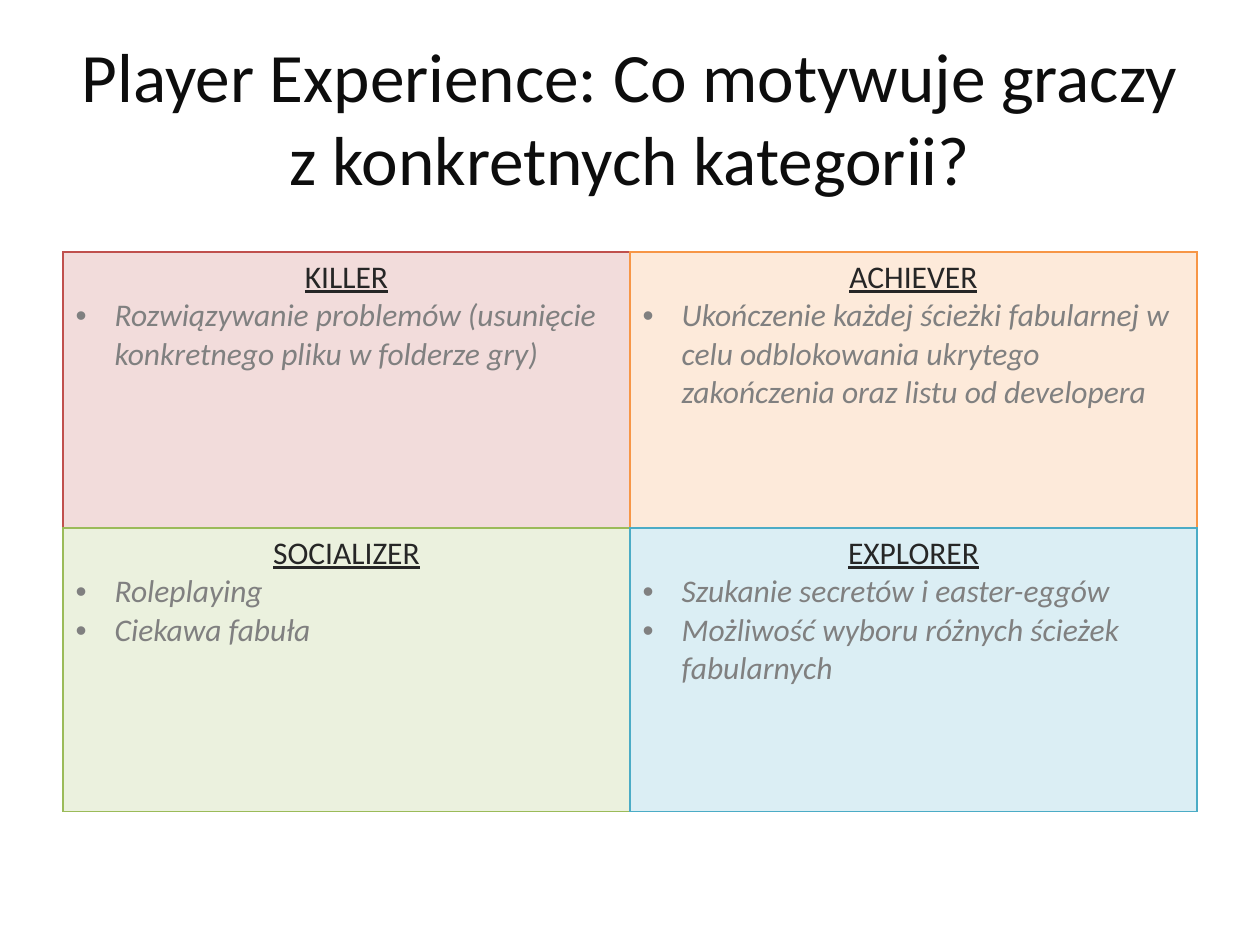
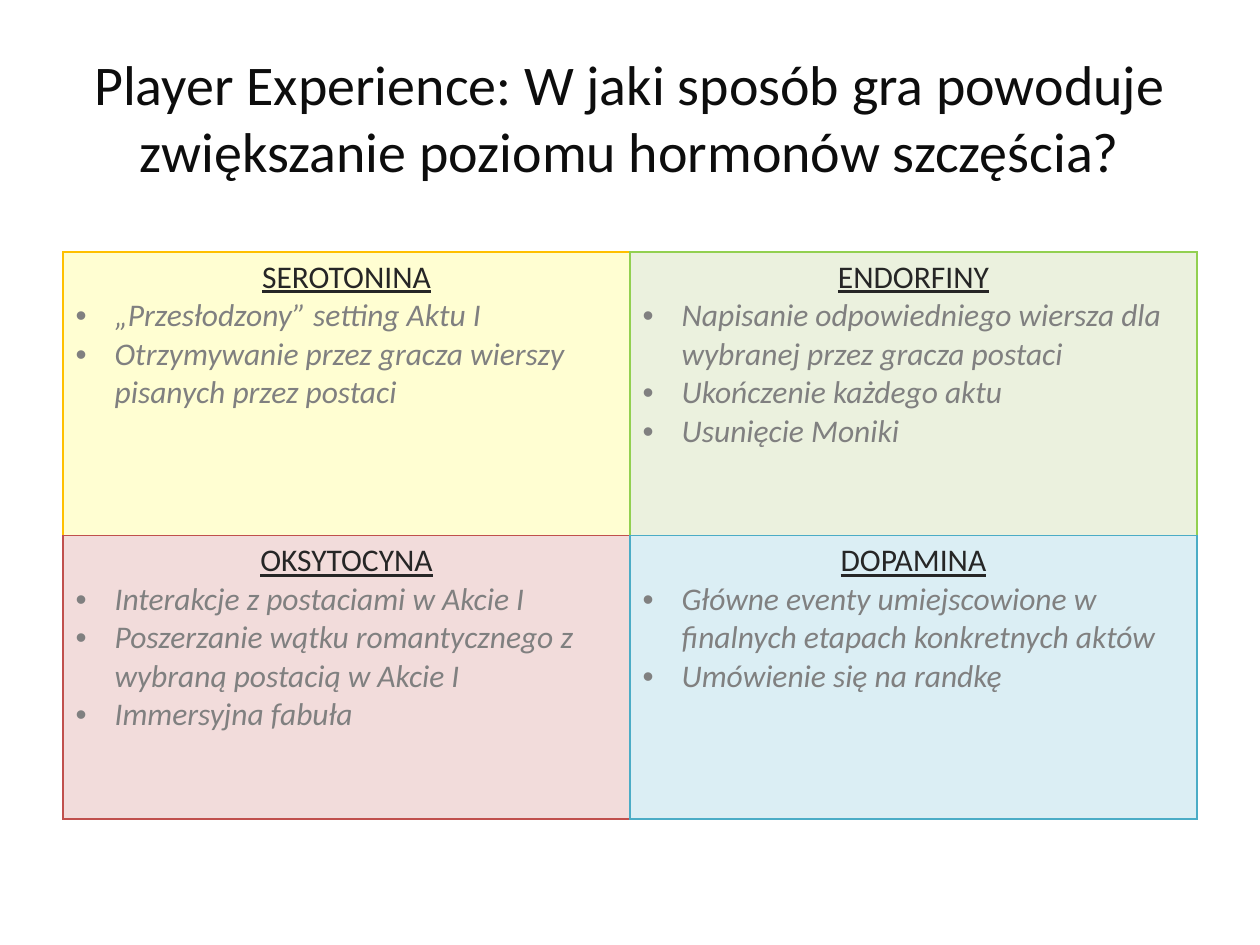
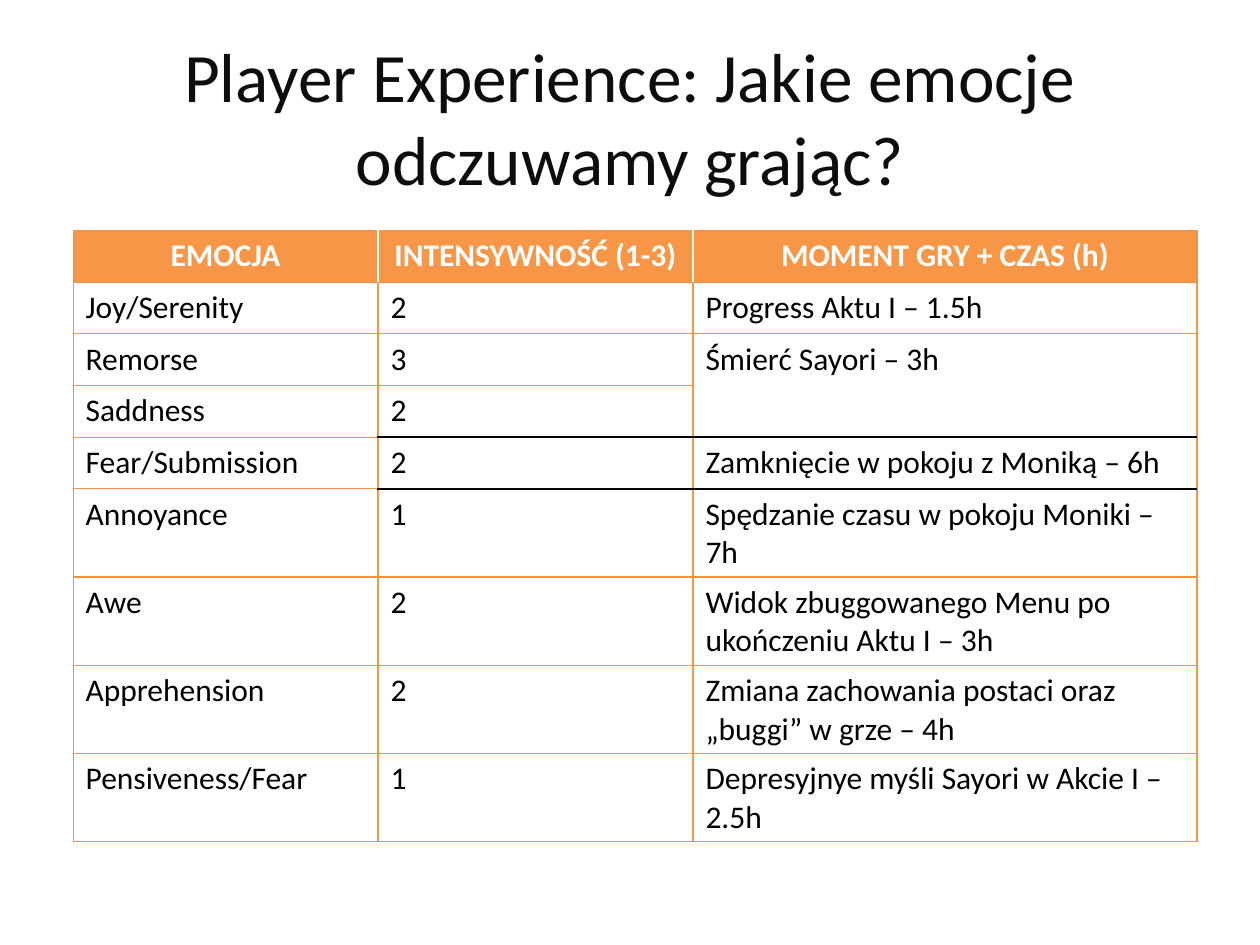
from dataclasses import dataclass

from lxml import etree
from pptx import Presentation
from pptx.dml.color import RGBColor
from pptx.enum.text import MSO_ANCHOR, PP_ALIGN
from pptx.oxml.ns import qn
from pptx.util import Emu, Inches, Pt

CENTER, LEFT = PP_ALIGN.CENTER, PP_ALIGN.LEFT
MIDDLE = MSO_ANCHOR.MIDDLE

# The slide is divided into a grid of 20 columns by 15 rows.
WIDTH, HEIGHT = Inches(10), Inches(7.5)
COLUMNS, ROWS = 20, 15

FONT = "Calibri"
BODY_SIZE = 18
INDENT = Inches(0.31)
BLACK, WHITE = "000000", "FFFFFF"
TITLE_INK, HEADING_INK, BULLET_INK = "0D0D0D", "262626", "808080"
RED, ORANGE, GREEN, BLUE = "C0504D", "F79646", "9BBB59", "4BACC6"
AMBER, LIME, RULE = "FFC000", "92D050", "F69240"
PALE_RED, PALE_ORANGE, PALE_GREEN = "F2DCDB", "FDEADA", "EBF1DE"
PALE_BLUE, PALE_YELLOW = "DBEEF4", "FFFED2"


@dataclass
class Quadrant:
    """One cell of a two-by-two matrix."""
    heading: str
    bullets: list[str]
    fill: str
    edge: str


@dataclass
class Matrix:
    """A slide with four quadrants, in reading order."""
    title: str
    title_size: float
    row_spans: list[float]
    quadrants: list[Quadrant]


@dataclass
class Emotion:
    """A row of the emotion table; no moment means the one above holds."""
    name: str
    intensity: int
    moment: str = ""


MATRICES = [
    Matrix("Player Experience: Co motywuje graczy z konkretnych kategorii?",
           39.6, [4.38, 4.5], [
        Quadrant("KILLER", [
            "Rozwiązywanie problemów (usunięcie konkretnego pliku w folderze gry)",
        ], PALE_RED, RED),
        Quadrant("ACHIEVER", [
            "Ukończenie każdej ścieżki fabularnej w celu odblokowania "
            "ukrytego zakończenia oraz listu od developera",
        ], PALE_ORANGE, ORANGE),
        Quadrant("SOCIALIZER", ["Roleplaying", "Ciekawa fabuła"],
                 PALE_GREEN, GREEN),
        Quadrant("EXPLORER", [
            "Szukanie secretów i easter-eggów",
            "Możliwość wyboru różnych ścieżek fabularnych",
        ], PALE_BLUE, BLUE),
    ]),
    Matrix("Player Experience: W jaki sposób gra powoduje zwiększanie "
           "poziomu hormonów szczęścia?", 32, [4.5, 4.5], [
        Quadrant("SEROTONINA", [
            "„Przesłodzony” setting Aktu I",
            "Otrzymywanie przez gracza wierszy pisanych przez postaci",
        ], PALE_YELLOW, AMBER),
        Quadrant("ENDORFINY", [
            "Napisanie odpowiedniego wiersza dla wybranej przez gracza postaci",
            "Ukończenie każdego aktu",
            "Usunięcie Moniki",
        ], PALE_GREEN, LIME),
        Quadrant("OKSYTOCYNA", [
            "Interakcje z postaciami w Akcie I",
            "Poszerzanie wątku romantycznego z wybraną postacią w Akcie I",
            "Immersyjna fabuła",
        ], PALE_RED, RED),
        Quadrant("DOPAMINA", [
            "Główne eventy umiejscowione w finalnych etapach konkretnych aktów",
            "Umówienie się na randkę",
        ], PALE_BLUE, BLUE),
    ]),
]

EMOTION_TITLE = "Player Experience: Jakie emocje odczuwamy grając?"
EMOTION_HEADER = ["EMOCJA", "INTENSYWNOŚĆ (1-3)", "MOMENT GRY + CZAS (h)"]
EMOTIONS = [
    Emotion("Joy/Serenity", 2, "Progress Aktu I – 1.5h"),
    Emotion("Remorse", 3, "Śmierć Sayori – 3h"),
    Emotion("Saddness", 2),
    Emotion("Fear/Submission", 2, "Zamknięcie w pokoju z Moniką – 6h"),
    Emotion("Annoyance", 1, "Spędzanie czasu w pokoju Moniki – 7h"),
    Emotion("Awe", 2, "Widok zbuggowanego Menu po ukończeniu Aktu I – 3h"),
    Emotion("Apprehension", 2,
            "Zmiana zachowania postaci oraz „buggi” w grze – 4h"),
    Emotion("Pensiveness/Fear", 1,
            "Depresyjnye myśli Sayori w Akcie I – 2.5h"),
]
BLACK_RULES = {4, 5}  # rows with a black line above, right of the names


def across(n: float) -> Emu:
    """Return the width of n grid columns."""
    return Emu(round(WIDTH * n / COLUMNS))


def down(n: float) -> Emu:
    """Return the height of n grid rows."""
    return Emu(round(HEIGHT * n / ROWS))


def rgb(value: str) -> RGBColor:
    """Turn a hex string into a colour."""
    return RGBColor.from_string(value)


def write(p, text: str, *, size: float = BODY_SIZE, color: str = BLACK,
          align=LEFT, bold: bool = False, italic: bool = False,
          underline: bool = False) -> None:
    """Put one formatted run into a paragraph."""
    p.alignment = align
    r = p.add_run()
    r.text = text
    r.font.name, r.font.size = FONT, Pt(size)
    r.font.color.rgb = rgb(color)
    r.font.bold, r.font.italic, r.font.underline = bold, italic, underline


def add_bullet(p) -> None:
    """Give a paragraph a hanging bullet."""
    pPr = p._p.get_or_add_pPr()
    pPr.set("marL", str(INDENT))
    pPr.set("indent", str(-INDENT))
    etree.SubElement(pPr, qn("a:buFont")).set("typeface", "Arial")
    etree.SubElement(pPr, qn("a:buChar")).set("char", "•")


def style_cell(cell, fill: str | None, **edges: tuple[str, float]) -> None:
    """Set a cell's L, R, T and B edges (colour, points) and its fill."""
    tcPr = cell._tc.get_or_add_tcPr()
    for side in "LRTB":
        color, width = edges[side]
        ln = etree.SubElement(tcPr, qn(f"a:ln{side}"), w=str(Pt(width)))
        solid = etree.SubElement(ln, qn("a:solidFill"))
        etree.SubElement(solid, qn("a:srgbClr"), val=color)
    if fill:
        cell.fill.solid()
        cell.fill.fore_color.rgb = rgb(fill)
    else:
        cell.fill.background()


def add_titled_slide(prs, title: str, size: float):
    """Add a blank slide with the shared title."""
    s = prs.slides.add_slide(prs.slide_layouts[6])
    tf = s.shapes.add_textbox(
        across(1), down(0.6), across(18), down(2.5)).text_frame
    tf.word_wrap = True
    tf.vertical_anchor = MIDDLE
    write(tf.paragraphs[0], title, size=size, color=TITLE_INK, align=CENTER)
    return s


def add_grid(s, left: float, top: float, col_spans: list[float],
             row_spans: list[float]):
    """Add a plain table whose place and sizes are in grid units."""
    table = s.shapes.add_table(
        len(row_spans), len(col_spans), across(left), down(top),
        across(sum(col_spans)), down(sum(row_spans))).table
    table.first_row = table.horz_banding = False
    for column, span in zip(table.columns, col_spans):
        column.width = across(span)
    for row, span in zip(table.rows, row_spans):
        row.height = down(span)
    return table


def add_matrix_slide(prs, matrix: Matrix) -> None:
    """Draw four quadrants; a shared edge takes the later one's colour."""
    s = add_titled_slide(prs, matrix.title, matrix.title_size)
    table = add_grid(s, 1, 4, [9, 9], matrix.row_spans)
    for i, quadrant in enumerate(matrix.quadrants):
        row, col = divmod(i, 2)
        cell = table.cell(row, col)
        own = (quadrant.edge, 1)
        right = (matrix.quadrants[row * 2 + 1].edge, 1)
        below = (matrix.quadrants[2 + col].edge, 1)
        style_cell(cell, quadrant.fill, L=own, R=right, T=own, B=below)
        tf = cell.text_frame
        write(tf.paragraphs[0], quadrant.heading, color=HEADING_INK,
              align=CENTER, underline=True)
        for bullet in quadrant.bullets:
            p = tf.add_paragraph()
            write(p, bullet, color=BULLET_INK, italic=True)
            add_bullet(p)


def add_emotion_slide(prs) -> None:
    """Draw the table of emotions, intensities and moments."""
    s = add_titled_slide(prs, EMOTION_TITLE, 39.6)
    lines = [EMOTION_HEADER] + [
        [e.name, str(e.intensity), e.moment] for e in EMOTIONS]
    table = add_grid(s, 1.16, 3.66, [4.84, 5, 8], [0.82] * len(lines))
    last = len(EMOTION_HEADER) - 1
    for row, line in enumerate(lines):
        header = row == 0
        inner = (WHITE if header else ORANGE, 1)
        outer = (RULE, 0.75)
        for col, text in enumerate(line):
            cell = table.cell(row, col)
            top, bottom = (
                (BLACK, 1) if col and edge in BLACK_RULES else outer
                for edge in (row, row + 1))
            style_cell(cell, ORANGE if header else None,
                       L=inner if col else outer,
                       R=inner if col < last else outer, T=top, B=bottom)
            if text:
                write(cell.text_frame.paragraphs[0], text, bold=header,
                      color=WHITE if header else BLACK,
                      align=CENTER if header else LEFT)
            else:
                table.cell(row - 1, col).merge(cell)


def main() -> None:
    """Build the three slides and save them."""
    prs = Presentation()
    prs.slide_width, prs.slide_height = WIDTH, HEIGHT
    for matrix in MATRICES:
        add_matrix_slide(prs, matrix)
    add_emotion_slide(prs)
    prs.save("out.pptx")


main()
